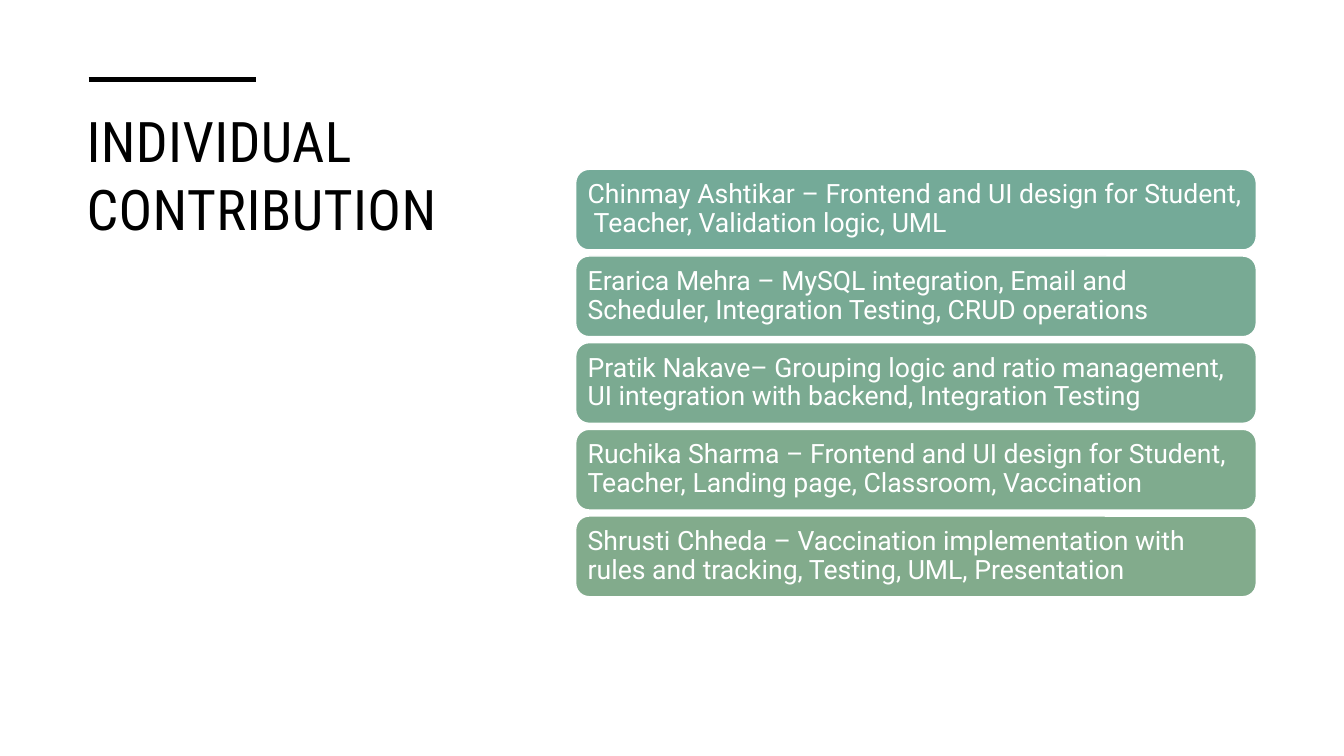
from pptx import Presentation
from pptx.dml.color import RGBColor
from pptx.enum import shapes, text
from pptx.oxml import ns
from pptx.util import Inches, Pt
from lxml import etree

COLORS = {"ink": "000000", "paper": "FFFFFF"}
CONTRIBUTIONS = [
    ("74AA98", "Chinmay Ashtikar – Frontend and UI design for Student,  Teacher, Validation logic, UML"),
    ("78AA94", "Erarica Mehra – MySQL integration, Email and Scheduler, Integration Testing, CRUD operations"),
    ("7BAA91", "Pratik Nakave– Grouping logic and ratio management, UI integration with backend, Integration Testing"),
    ("7FAB8E", "Ruchika Sharma – Frontend and UI design for Student, Teacher, Landing page, Classroom, Vaccination"),
    ("82AB8C", "Shrusti Chheda – Vaccination implementation with rules and tracking, Testing, UML, Presentation"),
]
CARD_LEFT, CARD_TOP, CARD_WIDTH, CARD_HEIGHT = 5.71, 1.68, 6.75, 0.8
CARD_PITCH = 0.86


def rgb(color):
    return RGBColor.from_string(COLORS.get(color, color))


def write(frame, content, *, font, size, color, line_spacing,
          anchor=text.MSO_ANCHOR.TOP, inset=None, tracking=None):
    """Fill a text frame with one formatted paragraph; tracking is in points."""
    frame.word_wrap = True
    frame.vertical_anchor = anchor
    if inset is not None:
        frame.margin_left = frame.margin_right = Inches(inset)
        frame.margin_top = frame.margin_bottom = Inches(inset)
    paragraph = frame.paragraphs[0]
    paragraph.alignment = text.PP_ALIGN.LEFT
    paragraph.line_spacing = line_spacing
    run = paragraph.add_run()
    run.text = content
    run.font.name = font
    run.font.size = Pt(size)
    run.font.color.rgb = rgb(color)
    if tracking is not None:
        run.font._element.set("spc", str(round(tracking * 100)))


class SlideBuilder:
    heading_font = "Roboto Condensed"
    body_font = "Roboto"

    def __init__(self, slide):
        self.slide = slide

    def title(self, content, left, top, width, height):
        box = self.slide.shapes.add_textbox(
            Inches(left), Inches(top), Inches(width), Inches(height))
        write(box.text_frame, content, font=self.heading_font, size=40,
              color="ink", line_spacing=1.02, tracking=0.3)

    def rule(self, left, right, y):
        line = self.slide.shapes.add_connector(
            shapes.MSO_CONNECTOR.STRAIGHT,
            Inches(left), Inches(y), Inches(right), Inches(y))
        line.line.color.rgb = rgb("ink")
        line.line.width = Pt(3.5)
        etree.SubElement(line._element.spPr, ns.qn("a:effectLst"))

    def card(self, content, fill, left, top, width, height):
        shape = self.slide.shapes.add_shape(
            shapes.MSO_SHAPE.ROUNDED_RECTANGLE,
            Inches(left), Inches(top), Inches(width), Inches(height))
        shape.shadow.inherit = False
        shape.fill.solid()
        shape.fill.fore_color.rgb = rgb(fill)
        shape.line.color.rgb = rgb("paper")
        shape.line.width = Pt(1)
        write(shape.text_frame, content, font=self.body_font, size=19,
              color="paper", line_spacing=0.9,
              anchor=text.MSO_ANCHOR.MIDDLE, inset=0.08)


def main():
    presentation = Presentation()
    presentation.slide_width = Inches(13.33)
    presentation.slide_height = Inches(7.5)
    builder = SlideBuilder(presentation.slides.add_slide(presentation.slide_layouts[6]))

    builder.title("INDIVIDUAL CONTRIBUTION", 0.76, 0.99, 4.28, 4.35)
    builder.rule(0.88, 2.54, 0.79)
    for row, (fill, content) in enumerate(CONTRIBUTIONS):
        builder.card(content, fill, CARD_LEFT, CARD_TOP + row * CARD_PITCH,
                     CARD_WIDTH, CARD_HEIGHT)

    presentation.save("out.pptx")


if __name__ == "__main__":
    main()
